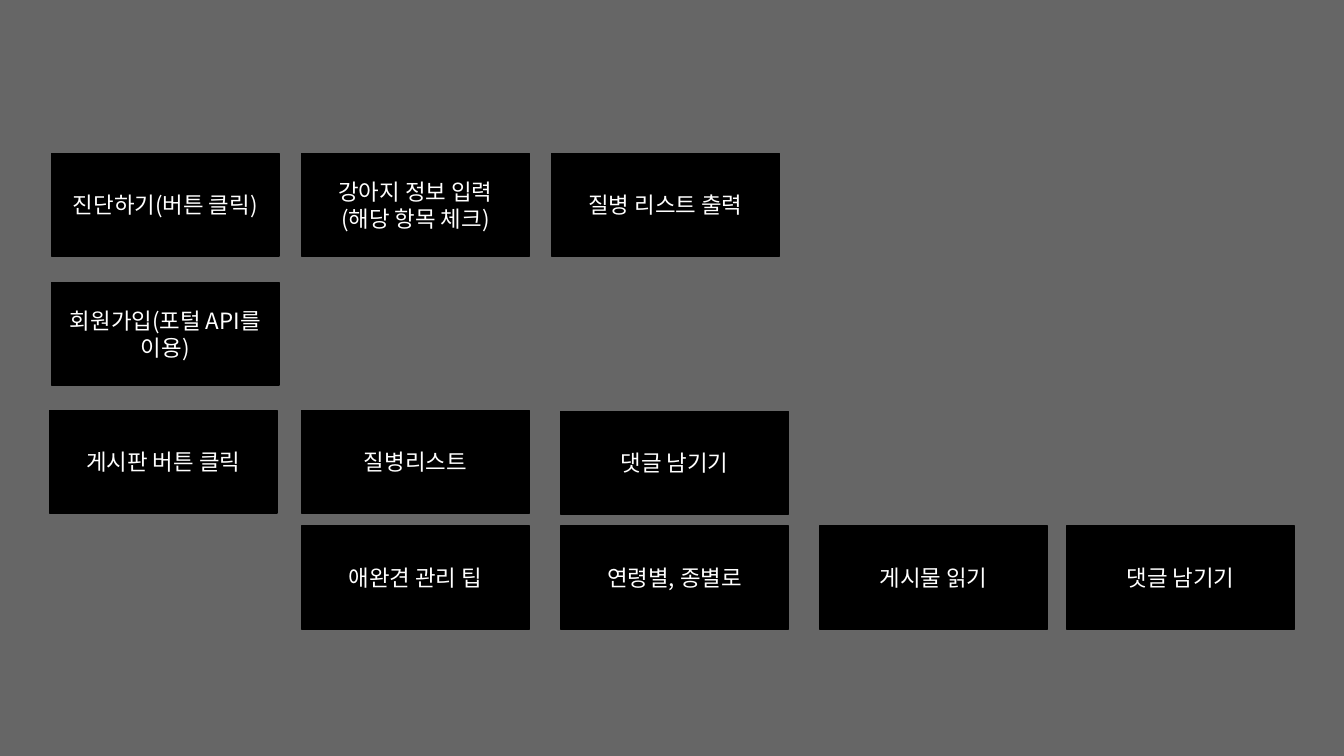
import pptx
import pptx.dml.color
import pptx.enum.shapes
import pptx.enum.text
import pptx.oxml.ns
import pptx.util
from lxml import etree
from pptx.util import Inches

BLACK = pptx.dml.color.RGBColor(0x00, 0x00, 0x00)
WHITE = pptx.dml.color.RGBColor(0xFF, 0xFF, 0xFF)
FONT = "Noto Sans CJK KR"
TEXT_FORMAT = {"name": FONT, "size": pptx.util.Pt(16)}
FRAME_FORMAT = {
    "word_wrap": True,
    "vertical_anchor": pptx.enum.text.MSO_ANCHOR.MIDDLE,
}
SLIDE_WIDTH, SLIDE_HEIGHT = 13.33, 7.5
STEP_WIDTH, STEP_HEIGHT = 2.26, 1.02

# Each flow: top edge, then (left edge, lines of text) for every step
FLOWS = [
    (1.52, [(0.51, ["진단하기(버튼 클릭)"]),
            (2.99, ["강아지 정보 입력", "(해당 항목 체크)"]),
            (5.47, ["질병 리스트 출력"])]),
    (2.8, [(0.51, ["회원가입(포털 API를 이용)"])]),
    (4.07, [(0.49, ["게시판 버튼 클릭"]),
            (2.99, ["질병리스트"])]),
    (4.08, [(5.56, ["댓글 남기기"])]),
    (5.22, [(2.99, ["애완견 관리 팁"]),
            (5.56, ["연령별, 종별로"]),
            (8.13, ["게시물 읽기"]),
            (10.58, ["댓글 남기기"])]),
]


def apply_format(target, values):
    for name, value in values.items():
        setattr(target, name, value)


def add_box(slide, left, top, width, height):
    """Add a plain black rectangle."""
    box = slide.shapes.add_shape(
        pptx.enum.shapes.MSO_SHAPE.RECTANGLE,
        Inches(left), Inches(top), Inches(width), Inches(height))
    box.shadow.inherit = False
    box.fill.solid()
    box.fill.fore_color.rgb = BLACK
    return box


def add_shade(slide):
    """Cover the slide with black at 60 percent opacity."""
    shade = add_box(slide, 0, 0, SLIDE_WIDTH, SLIDE_HEIGHT)
    shade.line.fill.background()
    qn = pptx.oxml.ns.qn
    color = shade.fill._xPr.find(qn("a:solidFill")).find(qn("a:srgbClr"))
    etree.SubElement(color, qn("a:alpha"), val="60000")


def add_span(para, text):
    span = para.add_run()
    span.text = text
    apply_format(span.font, TEXT_FORMAT)
    span.font.color.rgb = WHITE
    # Korean letters take the East Asian typeface
    etree.SubElement(span.font._element, pptx.oxml.ns.qn("a:ea"), typeface=FONT)


def add_step(slide, left, top, lines):
    """Add one step of a flow with its centred label."""
    step = add_box(slide, left, top, STEP_WIDTH, STEP_HEIGHT)
    step.line.color.rgb = BLACK
    step.line.width = pptx.util.Pt(1)
    frame = step.text_frame
    apply_format(frame, FRAME_FORMAT)
    for index, text in enumerate(lines):
        para = frame.add_paragraph() if index else frame.paragraphs[0]
        para.alignment = pptx.enum.text.PP_ALIGN.CENTER
        add_span(para, text)


def main():
    deck = pptx.Presentation()
    deck.slide_width = Inches(SLIDE_WIDTH)
    deck.slide_height = Inches(SLIDE_HEIGHT)
    slide = deck.slides.add_slide(deck.slide_layouts[6])

    # Background
    add_shade(slide)

    # Flows, top to bottom
    for top, steps in FLOWS:
        for left, lines in steps:
            add_step(slide, left, top, lines)

    deck.save("out.pptx")


if __name__ == "__main__":
    main()
